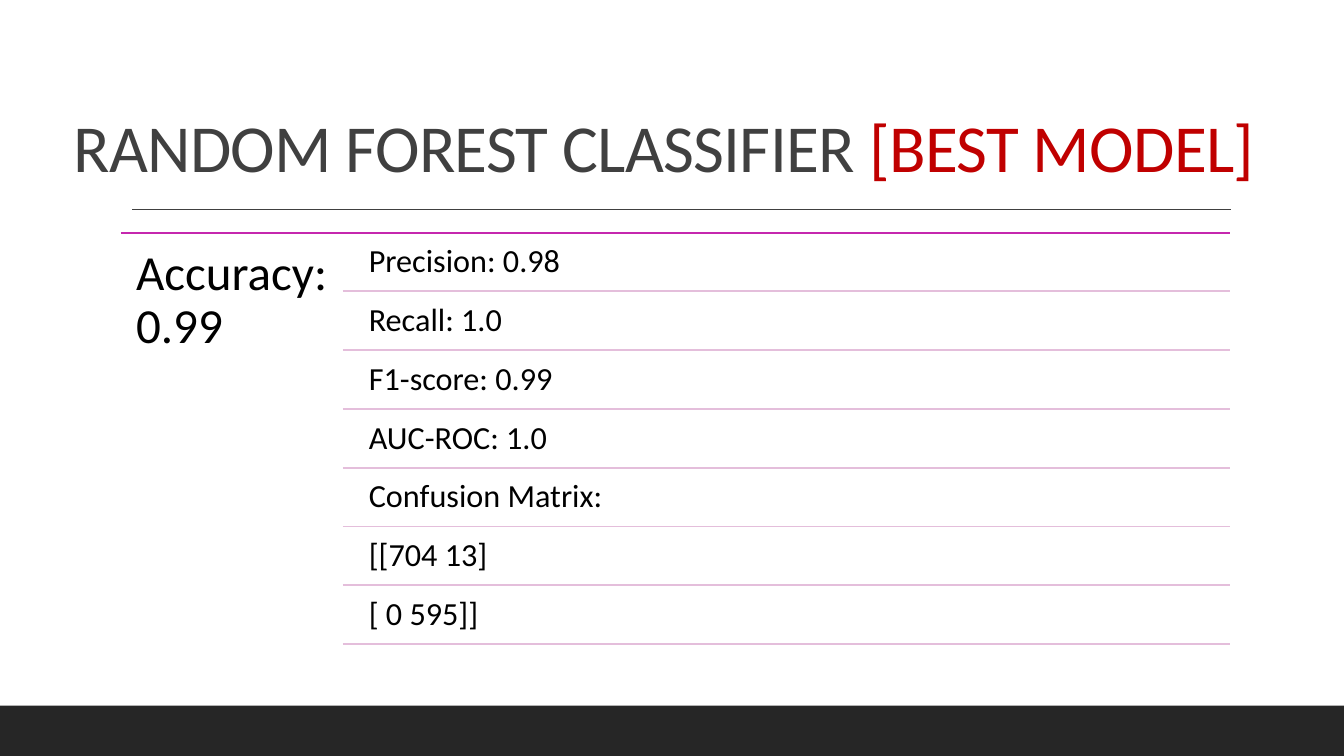
from lxml.etree import SubElement
from pptx import Presentation
from pptx.dml.color import RGBColor
from pptx.enum.shapes import MSO_CONNECTOR, MSO_SHAPE
from pptx.enum.text import MSO_ANCHOR
from pptx.oxml.ns import qn
from pptx.util import Inches, Pt

METRICS = ["Precision: 0.98", "Recall: 1.0", "F1-score: 0.99", "AUC-ROC: 1.0",
           "Confusion Matrix:", "[[704 13]", "[ 0 595]]"]
ROW_HEIGHT = 3.5 / 6
BLACK = "000000"

deck = Presentation()
deck.slide_width, deck.slide_height = Inches(13.33), Inches(7.5)
page = deck.slides.add_slide(deck.slide_layouts[6])


def add_rule(left, right, y, color, width):
    """Draw a horizontal line without a shadow."""
    rule = page.shapes.add_connector(MSO_CONNECTOR.STRAIGHT, Inches(left), Inches(y),
                                     Inches(right), Inches(y))
    rule.line.color.rgb = RGBColor.from_string(color)
    rule.line.width = Pt(width)
    SubElement(rule._element.spPr, qn("a:effectLst"))


def add_text(left, top, width, height, spans, size, insets, anchor=MSO_ANCHOR.TOP):
    """Add one paragraph of (text, color) spans; insets are left, top, right, bottom."""
    box = page.shapes.add_textbox(Inches(left), Inches(top), Inches(width), Inches(height))
    frame = box.text_frame
    frame.word_wrap = True
    frame.vertical_anchor = anchor
    (frame.margin_left, frame.margin_top,
     frame.margin_right, frame.margin_bottom) = [Inches(inset) for inset in insets]
    para = frame.paragraphs[0]
    para.line_spacing = 0.9
    for text, color in spans:
        span = para.add_run()
        span.text = text
        span.font.name = "Calibri"
        span.font.size = Pt(size)
        span.font.color.rgb = RGBColor.from_string(color)
    return para


footer = page.shapes.add_shape(MSO_SHAPE.RECTANGLE, Inches(0), Inches(7),
                               deck.slide_width, Inches(0.5))
footer.shadow.inherit = False
footer.fill.solid()
footer.fill.fore_color.rgb = RGBColor.from_string("262626")
footer.line.fill.background()

title = add_text(0.63, 0.31, 12.31, 1.59,
                 [("RANDOM FOREST CLASSIFIER ", "404040"), ("[BEST MODEL]", "C00000")],
                 48, (0.1, 0.05, 0.1, 0.05), MSO_ANCHOR.BOTTOM)
for span in title.runs:
    span.font._element.set("spc", "-50")
add_rule(1.31, 12.21, 2.08, "404040", 1)

add_rule(1.2, 12.2, 2.31, "C527AE", 1.25)
add_text(1.2, 2.31, 2.2, 4.11, [("Accuracy: 0.99", BLACK)], 35, (0.15, 0.15, 0.1, 0.15))

for row, metric in enumerate(METRICS):
    offset = row * ROW_HEIGHT
    add_text(3.56, 2.33 + offset, 8.63, 0.56, [(metric, BLACK)], 23, (0.1, 0.1, 0.1, 0.1))
    add_rule(3.4, 12.2, 2.89 + offset, "E4BEDB", 1.25)

deck.save("out.pptx")
